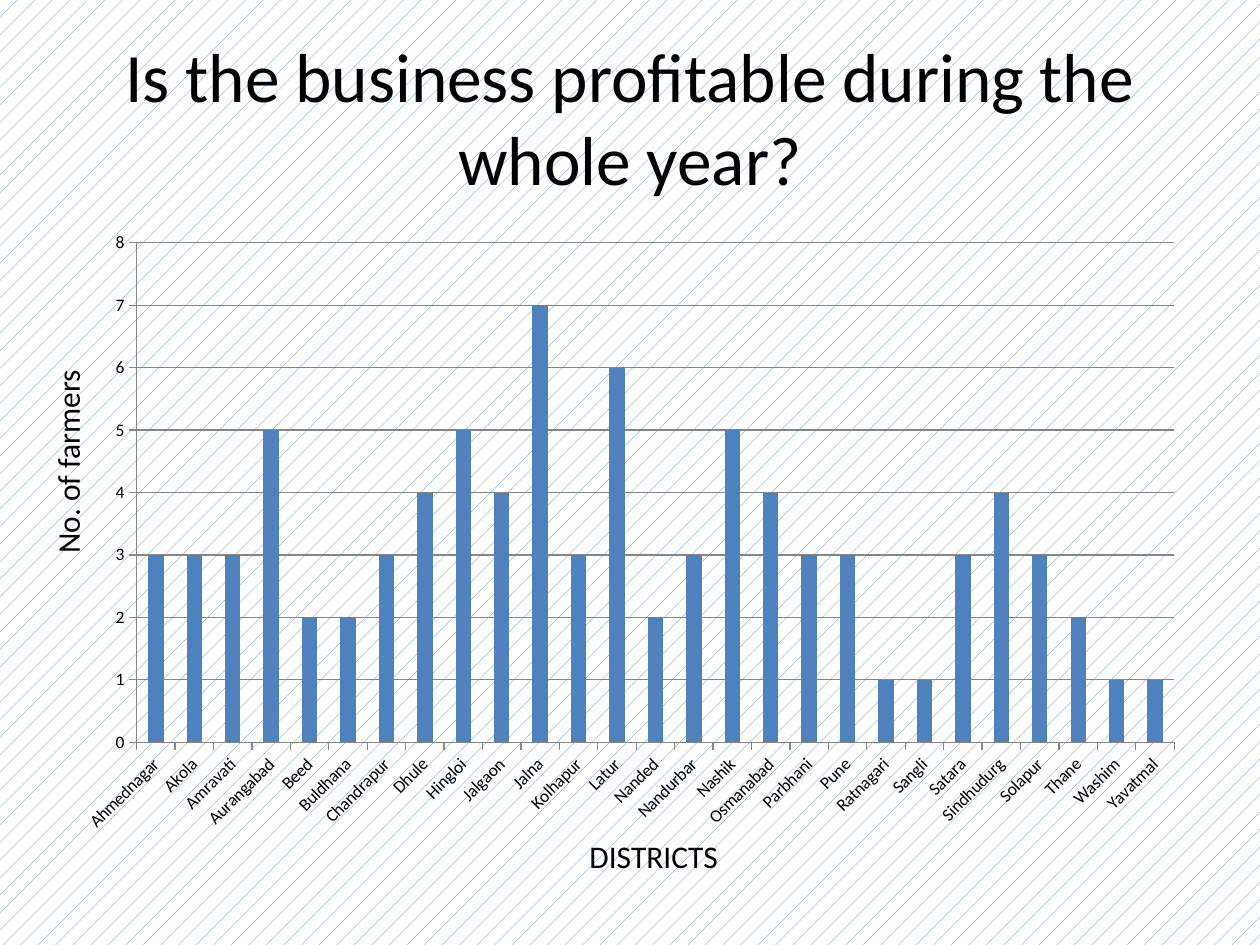
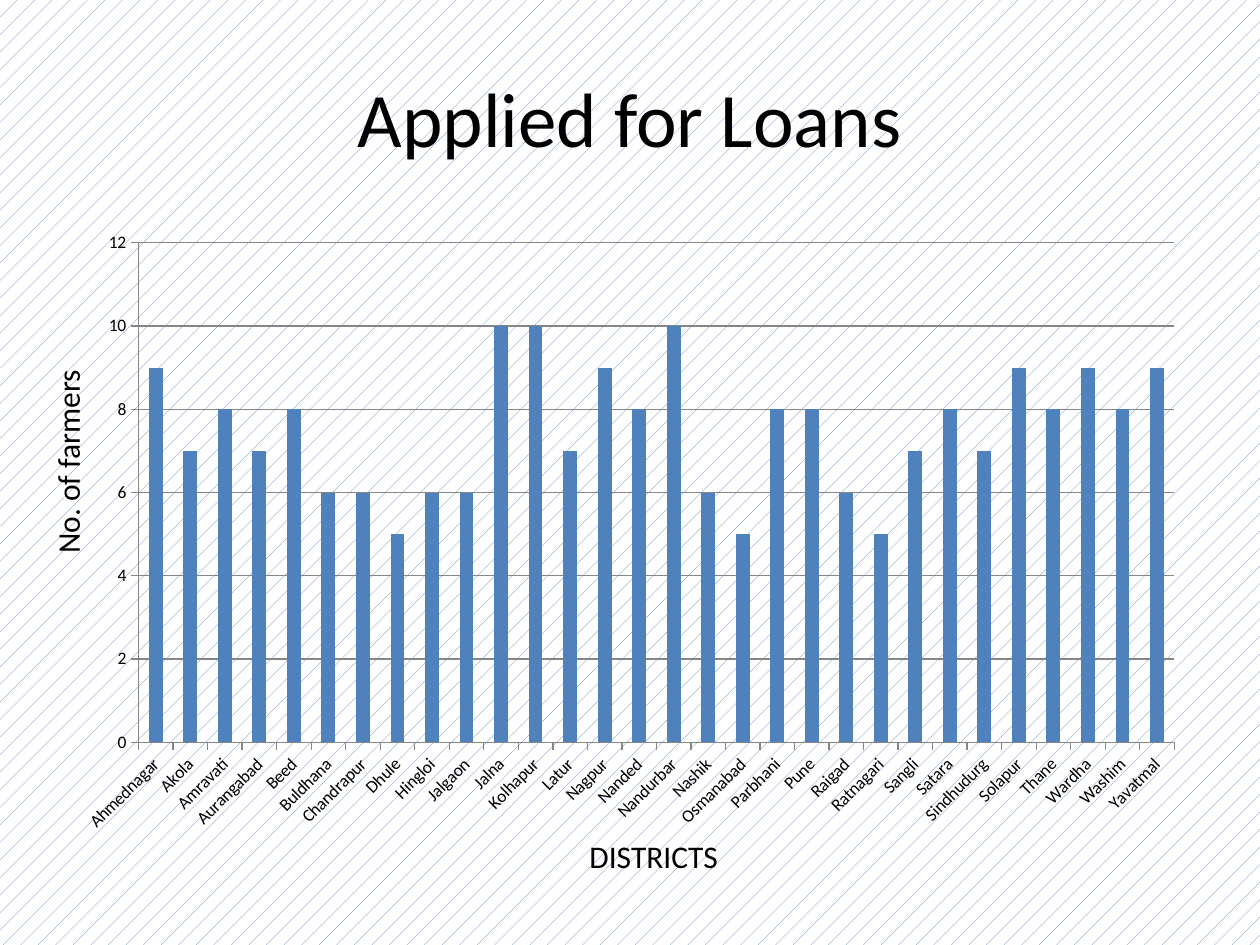
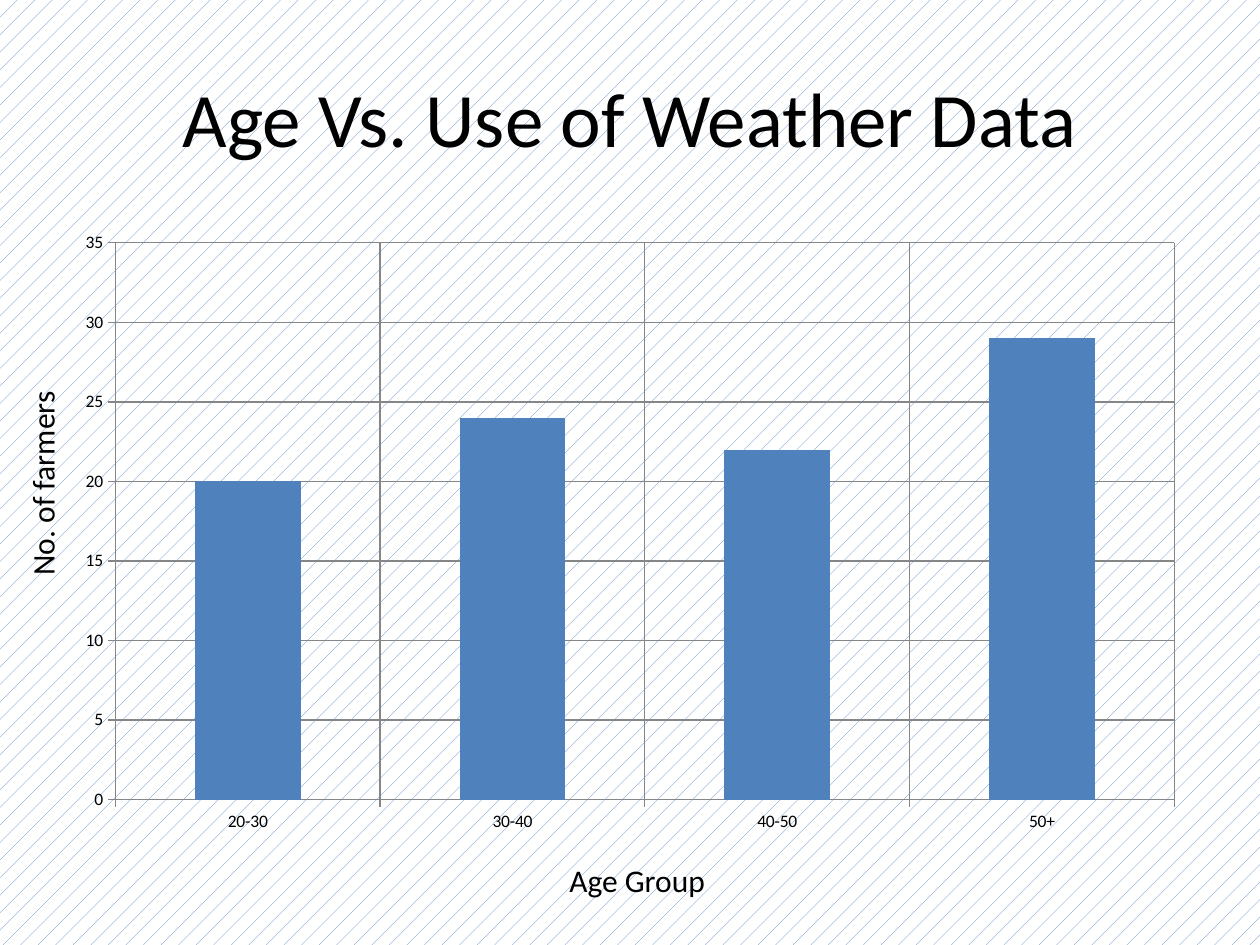
"""Build three slides of column charts from a survey of farmers."""
import dataclasses

import pptx
import pptx.chart.data
import pptx.dml.color
import pptx.enum.chart
import pptx.enum.dml
import pptx.enum.text
import pptx.util


@dataclasses.dataclass(frozen=True)
class Theme:
    """Colours, type sizes and shared frames, as shares of the slide."""
    font: str = "Calibri"
    ink: str = "000000"
    accent: str = "4F81BD"
    paper: str = "FFFFFF"
    grid: str = "868686"
    title_size: float = 44
    long_title_size: float = 39.6
    label_size: float = 18
    tick_size: float = 10
    line: float = 0.75
    title_box: tuple = (0.05, 0.04, 0.9, 1 / 6)
    chart_box: tuple = (0.05, 7 / 30, 0.9, 0.66)
    label_height: float = 0.4 / 7.5


T = Theme()
WIDTH, HEIGHT = pptx.util.Inches(10), pptx.util.Inches(7.5)

SURVEY = {
    "Ahmednagar": (3, 9), "Akola": (3, 7), "Amravati": (3, 8),
    "Aurangabad": (5, 7), "Beed": (2, 8), "Buldhana": (2, 6),
    "Chandrapur": (3, 6), "Dhule": (4, 5), "Hingloi": (5, 6),
    "Jalgaon": (4, 6), "Jalna": (7, 10), "Kolhapur": (3, 10),
    "Latur": (6, 7), "Nagpur": (None, 9), "Nanded": (2, 8),
    "Nandurbar": (3, 10), "Nashik": (5, 6), "Osmanabad": (4, 5),
    "Parbhani": (3, 8), "Pune": (3, 8), "Raigad": (None, 6),
    "Ratnagari": (1, 5), "Sangli": (1, 7), "Satara": (3, 8),
    "Sindhudurg": (4, 7), "Solapur": (3, 9), "Thane": (2, 8),
    "Wardha": (None, 9), "Washim": (1, 8), "Yavatmal": (1, 9),
}
WEATHER_USERS = {"20-30": 20, "30-40": 24, "40-50": 22, "50+": 29}


def rgb(value):
    """Turn a hex string into a colour."""
    return pptx.dml.color.RGBColor.from_string(value)


def frame(box):
    """Turn shares of the slide into left, top, width and height."""
    return [pptx.util.Emu(round(share * side))
            for share, side in zip(box, (WIDTH, HEIGHT) * 2)]


def style_font(font, size):
    """Apply the theme's typeface and ink at a given size."""
    font.name = T.font
    font.size = pptx.util.Pt(size)
    font.color.rgb = rgb(T.ink)


def add_run(p, text, size):
    """Add one styled run to a paragraph."""
    r = p.add_run()
    r.text = text
    style_font(r.font, size)


def set_background(master):
    """Give every slide the dotted pattern."""
    fill = master.background.fill
    fill.patterned()
    fill.pattern = pptx.enum.dml.MSO_PATTERN.PERCENT_5
    fill.fore_color.rgb = rgb(T.accent)
    fill.back_color.rgb = rgb(T.paper)


def set_title(s, text, size):
    """Fill and place the title placeholder."""
    sp = s.shapes.title
    sp.left, sp.top, sp.width, sp.height = frame(T.title_box)
    tf = sp.text_frame
    tf.auto_size = pptx.enum.text.MSO_AUTO_SIZE.NONE
    tf.vertical_anchor = pptx.enum.text.MSO_ANCHOR.MIDDLE
    p = tf.paragraphs[0]
    p.alignment = pptx.enum.text.PP_ALIGN.CENTER
    add_run(p, text, size)


def style_line(line):
    """Draw an axis or grid line in the theme's grey."""
    line.color.rgb = rgb(T.grid)
    line.width = pptx.util.Pt(T.line)


def add_columns(s, values, category_grid=False):
    """Add a single-series column chart of a dict of values."""
    data = pptx.chart.data.CategoryChartData()
    data.categories = list(values)
    data.add_series("Series 1", list(values.values()))
    kind = pptx.enum.chart.XL_CHART_TYPE.COLUMN_CLUSTERED
    chart = s.shapes.add_chart(kind, *frame(T.chart_box), data).chart
    chart.has_legend = False
    chart.has_title = False
    style_font(chart.font, T.tick_size)
    plot = chart.plots[0]
    plot.gap_width = 150
    plot.vary_by_categories = False
    fill = plot.series[0].format.fill
    fill.solid()
    fill.fore_color.rgb = rgb(T.accent)
    for axis, grid in ((chart.category_axis, category_grid),
                       (chart.value_axis, True)):
        axis.major_tick_mark = pptx.enum.chart.XL_TICK_MARK.OUTSIDE
        style_line(axis.format.line)
        axis.has_major_gridlines = grid
        if grid:
            style_line(axis.major_gridlines.format.line)


def add_label(s, text, left, top, width, rotation=0):
    """Add an axis caption."""
    sp = s.shapes.add_textbox(*frame((left, top, width, T.label_height)))
    sp.rotation = rotation
    tf = sp.text_frame
    tf.word_wrap = True
    tf.auto_size = pptx.enum.text.MSO_AUTO_SIZE.SHAPE_TO_FIT_TEXT
    add_run(tf.paragraphs[0], text, T.label_size)


def add_chart_slide(prs, title, values, x_label, x_at=(0.458, 0.879),
                    y_at=(-0.03, 0.461), title_size=T.title_size,
                    category_grid=False):
    """Add a slide with a title, a column chart and two axis captions."""
    s = prs.slides.add_slide(prs.slide_layouts.get_by_name("Title Only"))
    set_title(s, title, title_size)
    add_columns(s, values, category_grid)
    add_label(s, x_label, *x_at, 0.225)
    add_label(s, "No. of farmers", *y_at, 0.167, rotation=270)


def main():
    """Build and save the presentation."""
    prs = pptx.Presentation()
    prs.slide_width, prs.slide_height = WIDTH, HEIGHT
    set_background(prs.slide_master)
    profitable = {d: n for d, (n, _) in SURVEY.items() if n is not None}
    loans = {d: n for d, (_, n) in SURVEY.items()}
    add_chart_slide(prs, "Is the business profitable during the whole year?",
                    profitable, "DISTRICTS", title_size=T.long_title_size)
    add_chart_slide(prs, "Applied for Loans", loans, "DISTRICTS")
    add_chart_slide(prs, "Age Vs. Use of Weather Data", WEATHER_USERS,
                    "Age Group", x_at=(0.442, 0.905), y_at=(-0.05, 0.484),
                    category_grid=True)
    prs.save("out.pptx")


if __name__ == "__main__":
    main()
